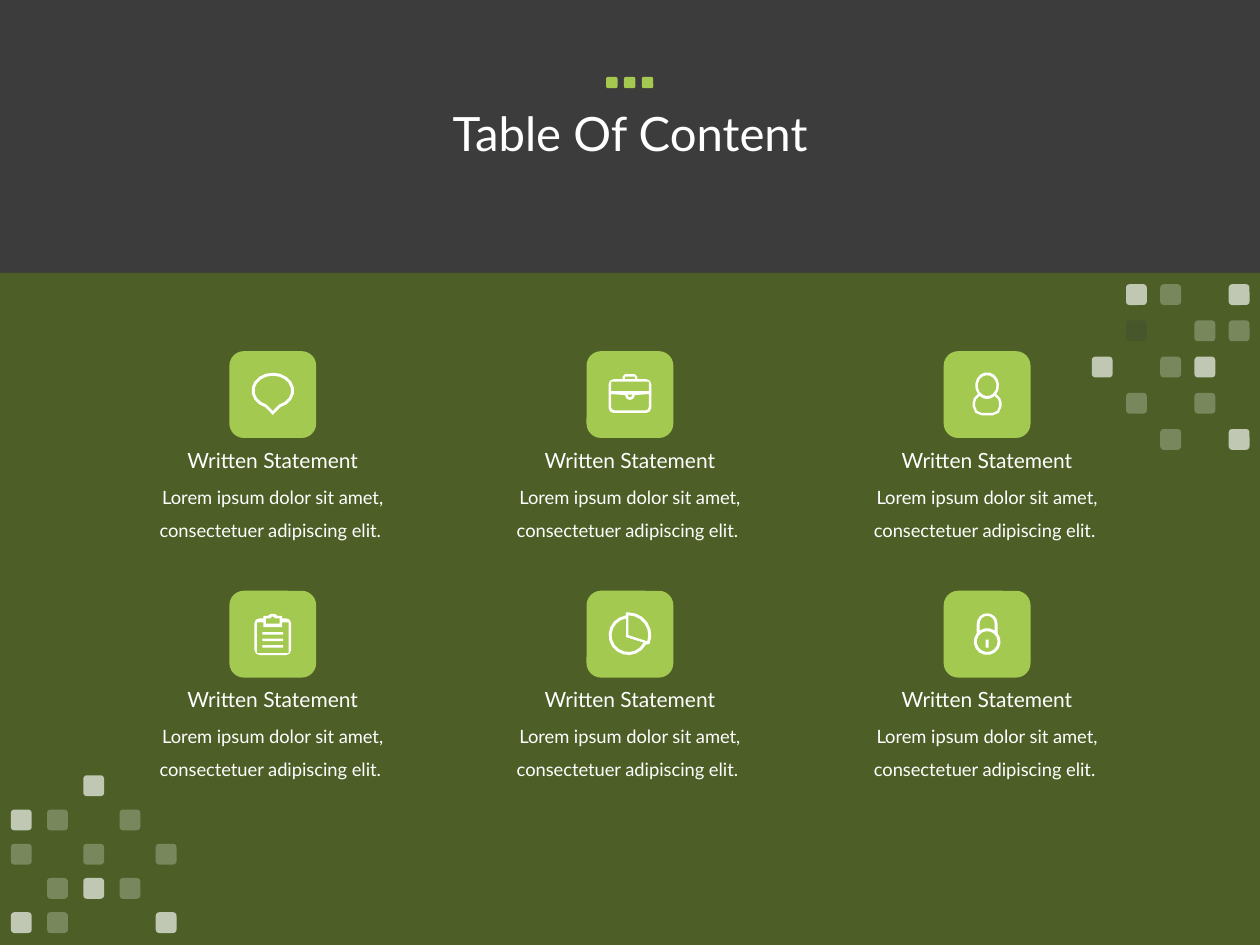
import math

import pptx
import pptx.dml.color
import pptx.enum.shapes
import pptx.enum.text
import pptx.oxml
import pptx.oxml.ns
import pptx.util

Cm = pptx.util.Cm
GREEN, OLIVE, DARK, WHITE = "A3C951", "546C21", "3C3C3C", "FFFFFF"


def rgb(color):
    return pptx.dml.color.RGBColor.from_string(color)


def arc(cx, cy, rx, ry, start=0, end=360, step=24):
    steps = math.ceil(abs(end - start) / step)
    angles = [math.radians(start + (end - start) * i / steps) for i in range(steps + 1)]
    return [(cx + rx * math.cos(a), cy + ry * math.sin(a)) for a in angles]


def corner(cx, cy, rad, start):
    return arc(cx, cy, rad, rad, start, start + 90, 45)


def rect(left, top, right, bottom):
    return [(left, top), (right, top), (right, bottom), (left, bottom)]


def rounded(left, top, right, bottom, rad):
    centres = rect(left + rad, top + rad, right - rad, bottom - rad)
    return [pt for i, (x, y) in enumerate(centres) for pt in corner(x, y, rad, 180 + 90 * i)]


def speech_bubble():
    return [arc(0, -0.08, rx, ry, 110, 430, 20) + [(0, tip)]
            for rx, ry, tip in [(0.43, 0.36, 0.41), (0.37, 0.3, 0.33)]]


def briefcase():
    lower = ([(-0.38, -0.01)] + arc(0, 0.01, 0.1, 0.1, 180, 0, 45) + [(0.38, -0.01)]
             + corner(0.31, 0.25, 0.07, 0) + corner(-0.31, 0.25, 0.07, 90))
    return [rounded(-0.43, -0.31, 0.43, 0.37, 0.1),
            [(-0.15, -0.31), (-0.15, -0.36), (-0.1, -0.41), (0.1, -0.41),
             (0.15, -0.36), (0.15, -0.31)],
            rect(-0.1, -0.36, 0.1, -0.31),
            rect(-0.38, -0.26, 0.38, -0.07),
            lower, arc(0, 0, 0.05, 0.06, 0, 180, 60)]


def person():
    def torso(r):
        return (arc(0.11, 0.16, r, r, -60, 0, 30) + corner(0.11, 0.24, r, 0)
                + corner(-0.11, 0.24, r, 90) + arc(-0.11, 0.16, r, r, 180, 240, 30))
    return [arc(0, -0.18, 0.24, 0.27, 140, 400) + torso(0.18),
            arc(0, -0.18, 0.19, 0.21),
            arc(0, -0.18, 0.24, 0.27, 130, 50) + torso(0.13)]


def clipboard():
    page = [(-0.32, -0.24), (-0.19, -0.24), (-0.19, -0.14), (0.19, -0.14),
            (0.19, -0.24), (0.32, -0.24), (0.32, 0.38), (-0.32, 0.38)]
    tab = [(-0.19, -0.32), (-0.19, -0.37), (-0.1, -0.37), (-0.04, -0.41),
           (0.04, -0.41), (0.1, -0.37), (0.19, -0.37), (0.19, -0.32)]
    clip = [(-0.14, -0.32), (-0.06, -0.32), (0, -0.36), (0.06, -0.32),
            (0.14, -0.32), (0.14, -0.21), (-0.14, -0.21)]
    lines = [rect(-0.21, y - 0.03, 0.21, y + 0.02) for y in (-0.01, 0.12, 0.25)]
    return [rounded(-0.37, -0.32, 0.37, 0.42, 0.1), page, tab, clip] + lines


def pie():
    def ring(r, start, end):
        return arc(-0.03, 0.02, r, r, start, end, 20)
    return [[(-0.08, -0.44)] + ring(0.46, -90, 23) + ring(0.4, 28, 262),
            ring(0.34, 26, 262) + [(-0.08, 0.06)],
            [(-0.03, 0.02)] + ring(0.4, -90, 18)]


def padlock():
    return [arc(0, -0.21, 0.21, 0.21, 180, 360) + arc(0, 0.15, 0.27, 0.27, -39, 219),
            arc(0, -0.21, 0.15, 0.16, 180, 360) + arc(0, 0.15, 0.27, 0.27, -56, -124),
            arc(0, 0.15, 0.21, 0.21),
            rect(-0.03, 0.11, 0.03, 0.27)]


class Deck:
    font = "Lato"

    def __init__(self, width, height):
        self.prs = pptx.Presentation()
        self.prs.slide_width, self.prs.slide_height = Cm(width), Cm(height)
        self.slide = None

    def add_slide(self, color):
        self.slide = self.prs.slides.add_slide(self.prs.slide_layouts[6])
        fill = self.slide.background.fill
        fill.solid()
        fill.fore_color.rgb = rgb(color)

    def paint(self, sp, color, alpha=100):
        sp.shadow.inherit = False
        sp.line.fill.background()
        sp.fill.solid()
        sp.fill.fore_color.rgb = rgb(color)
        if alpha < 100:
            clr = sp._element.spPr.find(".//" + pptx.oxml.ns.qn("a:srgbClr"))
            clr.append(pptx.oxml.parse_xml(
                f'<a:alpha {pptx.oxml.ns.nsdecls("a")} val="{alpha * 1000}"/>'))

    def box(self, left, top, width, height, color, alpha=100, kind="ROUNDED_RECTANGLE", parent=None):
        shapes = (parent or self.slide).shapes
        sp = shapes.add_shape(pptx.enum.shapes.MSO_SHAPE[kind],
                              Cm(left), Cm(top), Cm(width), Cm(height))
        self.paint(sp, color, alpha)

    def text(self, left, top, width, height, text, size, spacing=1.0, grow=True):
        sp = self.slide.shapes.add_textbox(Cm(left), Cm(top), Cm(width), Cm(height))
        tf = sp.text_frame
        tf.text = text
        tf.word_wrap = True
        tf.vertical_anchor = pptx.enum.text.MSO_ANCHOR.MIDDLE
        if grow:
            tf.auto_size = pptx.enum.text.MSO_AUTO_SIZE.SHAPE_TO_FIT_TEXT
        p = tf.paragraphs[0]
        p.alignment = pptx.enum.text.PP_ALIGN.CENTER
        p.line_spacing = spacing
        r = p.runs[0]
        r.font.name, r.font.size = self.font, pptx.util.Pt(size)
        r.font.color.rgb = rgb(WHITE)

    def icon(self, cx, cy, contours):
        builder = None
        for contour in contours:
            (x, y), *rest = [(Cm(cx + dx), Cm(cy + dy)) for dx, dy in contour]
            if builder is None:
                builder = self.slide.shapes.build_freeform(x, y)
            else:
                builder.move_to(x, y)
            builder.add_line_segments(rest, close=True)
        self.paint(builder.convert_to_shape(), WHITE)

    def squares(self, left, top, dx, dy, size, pattern, styles):
        group = self.slide.shapes.add_group_shape()
        for row, marks in enumerate(pattern):
            for col, mark in enumerate(marks):
                if mark in styles:
                    self.box(left + col * dx, top + row * dy, size, size,
                             *styles[mark], parent=group)


def main():
    deck = Deck(25.4, 19.05)
    deck.add_slide(DARK)
    deck.text(1.75, 0.91, 21.9, 3.68, "Table Of Content", 27, 0.9, grow=False)
    deck.box(0, 5.5, 25.4, 13.55, OLIVE, 75, "RECTANGLE")

    icons = [speech_bubble, briefcase, person, clipboard, pie, padlock]
    tile, width = 1.75, 6.35
    for i, icon in enumerate(icons):
        row, col = divmod(i, 3)
        cx, top = 5.5 + 7.2 * col, 7.08 + 4.83 * row
        deck.box(cx - tile / 2, top, tile, tile, GREEN)
        deck.icon(cx, top + tile / 2, icon())
        deck.text(cx - width / 2, top + 2.4, width, 1.52,
                  "Lorem ipsum dolor sit amet, consectetuer adipiscing elit. ", 10.5, 1.5)
        deck.text(cx - width / 2, top + 1.81, width, 0.76, "Written Statement", 12)

    styles = {"#": (WHITE, 65), "+": (WHITE, 25), "-": (DARK, 25), "o": (GREEN, 100)}
    deck.squares(0.22, 15.63, 0.73, 0.69, 0.42,
                 ["..#..", "#+.+.", "+.+.+", ".+#+.", "#+..#"], styles)
    deck.squares(22.01, 5.73, 0.69, 0.73, 0.42,
                 [".#+.#", ".-.++", "#.+#.", ".+.+.", "..+.#"], styles)
    deck.squares(12.22, 1.55, 0.36, 0.36, 0.23, ["ooo"], styles)
    deck.prs.save("out.pptx")


if __name__ == "__main__":
    main()
